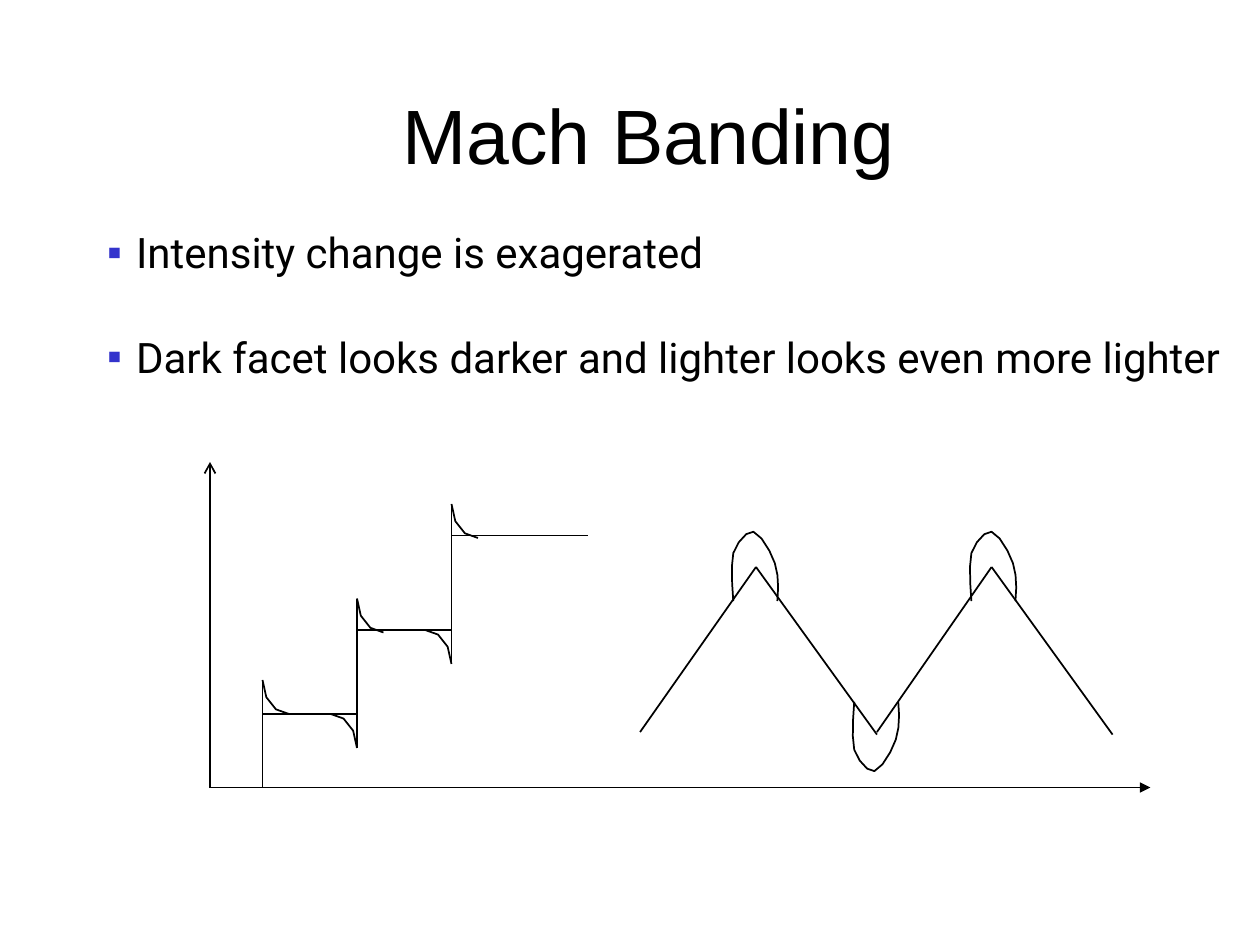
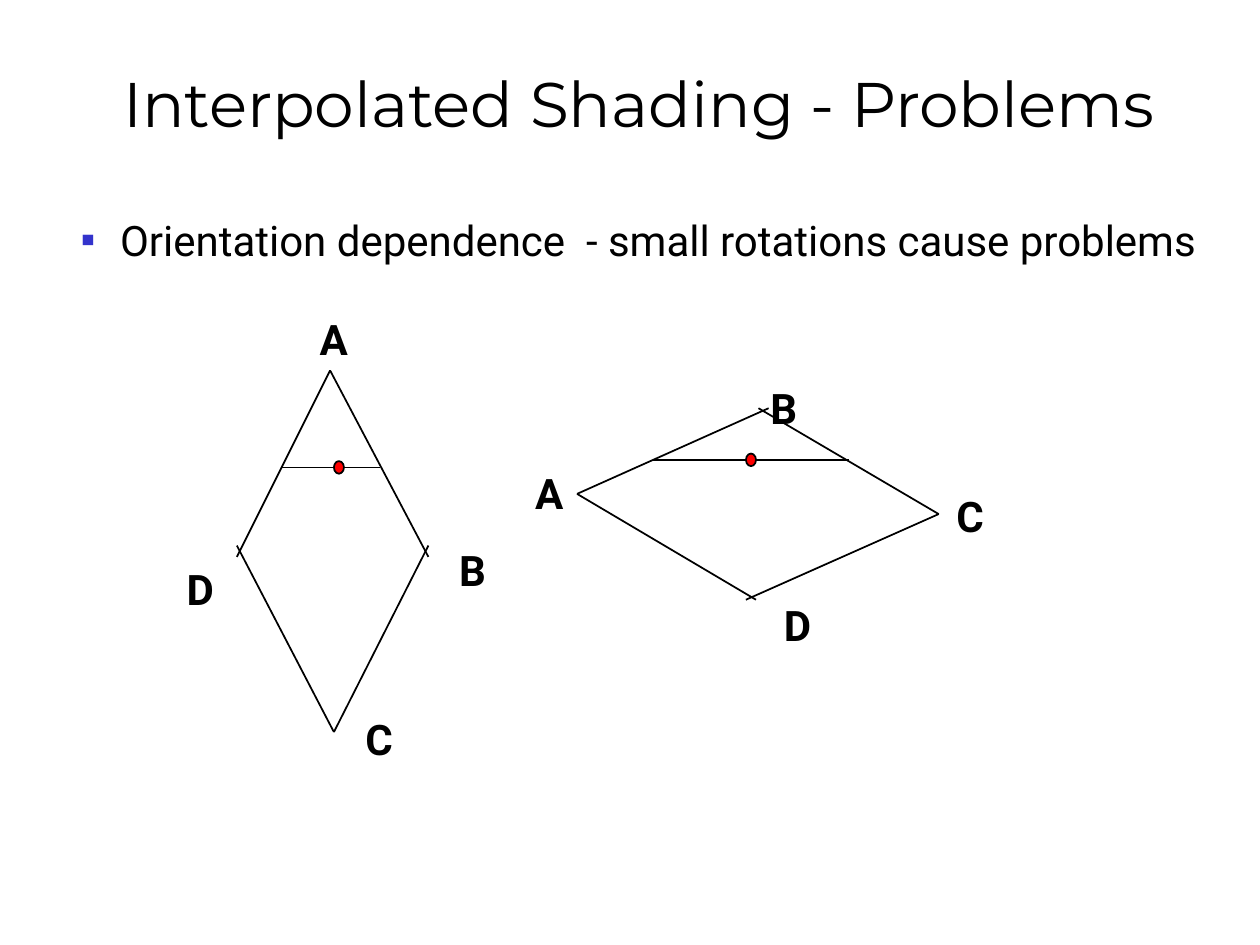
from itertools import pairwise

from lxml.etree import SubElement
from pptx import Presentation
from pptx.dml.color import RGBColor
from pptx.enum.shapes import MSO_CONNECTOR as Connector, MSO_SHAPE as Preset
from pptx.enum.text import MSO_ANCHOR as Anchor, MSO_AUTO_SIZE as AutoSize, PP_ALIGN as Align
from pptx.oxml.ns import qn
from pptx.util import Inches, Pt

COLORS = {"ink": "000000", "bullet": "3333CC", "dot": "FF0000"}
BODY_FONT = {"name": "Roboto", "size": Pt(24)}
LABEL_FONT = {**BODY_FONT, "bold": True}
FRAME = {"word_wrap": True, "auto_size": AutoSize.NONE, "vertical_anchor": Anchor.TOP}
SPACING = {"line_spacing": 1.2, "space_before": Pt(15), "space_after": Pt(10)}
CENTERED = {**SPACING, "alignment": Align.CENTER}
BULLET_FONT = "Arial"
BULLET_INDENT = 0.23
GRID = 12
LABEL_SIZE = (0.56, 0.58)
DOT_SIZE = (0.08, 0.1)
OVERSHOOT = ((0.21, 0), (0.1, 0), (0, -0.12), (0, -0.27))
LOOP = (
    (-0.18, 0), (-0.19, -0.14), (-0.2, -0.29), (-0.18, -0.38),
    (-0.15, -0.47), (-0.07, -0.56), (-0.02, -0.55),
    (0.04, -0.53), (0.12, -0.39), (0.15, -0.3),
    (0.18, -0.21), (0.18, -0.11), (0.17, 0),
)


def color(name):
    return RGBColor.from_string(COLORS[name])


def apply_format(target, values):
    for name, value in values.items():
        setattr(target, name, value)


def place(shape, left, top, width, height):
    apply_format(shape, {
        "left": Inches(left), "top": Inches(top),
        "width": Inches(width), "height": Inches(height),
    })


def style_line(shape):
    shape.line.color.rgb = color("ink")
    shape.line.width = Pt(1)


def write(shape, texts, font, paragraph_format):
    frame = shape.text_frame
    apply_format(frame, FRAME)
    frame.text = "\n".join(texts)
    for paragraph in frame.paragraphs:
        apply_format(paragraph, paragraph_format)
        for run in paragraph.runs:
            apply_format(run.font, font)
            run.font.color.rgb = color("ink")


def add_bullet(paragraph):
    properties = paragraph._p.get_or_add_pPr()
    properties.set("marL", str(Inches(BULLET_INDENT)))
    properties.set("indent", str(-Inches(BULLET_INDENT)))
    bullet_color = SubElement(properties, qn("a:buClr"))
    SubElement(bullet_color, qn("a:srgbClr"), val=COLORS["bullet"])
    SubElement(properties, qn("a:buFont"), typeface=BULLET_FONT)
    SubElement(properties, qn("a:buChar"), char="▪")


def add_text_slide(presentation, title, title_box, title_font, bullets, body_box):
    slide = presentation.slides.add_slide(presentation.slide_layouts[1])
    place(slide.shapes.title, *title_box)
    write(slide.shapes.title, [title], title_font, CENTERED)
    body = slide.placeholders[1]
    place(body, *body_box)
    write(body, bullets, BODY_FONT, SPACING)
    for paragraph in body.text_frame.paragraphs:
        add_bullet(paragraph)
    return slide


def add_line(slide, start, end, arrowhead=None):
    ends = [Inches(value) for value in (*start, *end)]
    line = slide.shapes.add_connector(Connector.STRAIGHT, *ends)
    style_line(line)
    if arrowhead:
        SubElement(line.line._get_or_add_ln(), qn("a:tailEnd"), type=arrowhead)
    SubElement(line._element.spPr, qn("a:effectLst"))


def bezier_points(controls, steps=3):
    points = [controls[0]]
    for first in range(0, len(controls) - 1, 3):
        segment = controls[first:first + 4]
        for step in range(1, steps + 1):
            t = step / steps
            weights = ((1 - t) ** 3, 3 * t * (1 - t) ** 2, 3 * t * t * (1 - t), t ** 3)
            points.append(tuple(
                sum(weight * point[axis] for weight, point in zip(weights, segment))
                for axis in (0, 1)
            ))
    return points


def add_curve(slide, offsets, x, y, flip_x=1, flip_y=1):
    controls = [(x + flip_x * dx, y + flip_y * dy) for dx, dy in offsets]
    start, *rest = [(Inches(px), Inches(py)) for px, py in bezier_points(controls)]
    builder = slide.shapes.build_freeform(*start)
    builder.add_line_segments(rest, close=False)
    curve = builder.convert_to_shape()
    curve.shadow.inherit = False
    curve.fill.background()
    style_line(curve)


def add_overshoot(slide, x, level, side):
    add_curve(slide, OVERSHOOT, x, level, side, side)
    for reach in (0.27, 0.17):
        add_line(slide, (x, level), (x, level - side * reach))


def add_dot(slide, left, top):
    box = [Inches(value) for value in (left, top, *DOT_SIZE)]
    dot = slide.shapes.add_shape(Preset.OVAL, *box)
    dot.shadow.inherit = False
    dot.fill.solid()
    dot.fill.fore_color.rgb = color("dot")
    style_line(dot)


def add_label(slide, letter, left, top):
    box = [Inches(value) for value in (left, top, *LABEL_SIZE)]
    write(slide.shapes.add_textbox(*box), [letter], LABEL_FONT, CENTERED)


def draw_axes(slide):
    origin = (20 / GRID, 6.25)
    add_line(slide, origin, (20 / GRID, 44 / GRID), "arrow")
    add_line(slide, origin, (9.13, 6.25), "triangle")


def draw_staircase(slide):
    edges = [column / GRID for column in (25, 34, 43, 56)]
    levels = [row / GRID for row in (75, 68, 60, 51)]
    for (left, right), (lower, upper) in zip(pairwise(edges), pairwise(levels)):
        add_line(slide, (left, lower), (left, upper))
        add_line(slide, (left, upper), (right, upper))
    for x, level, sag in zip(edges, levels[1:], (0, 0.02, 0.02)):
        add_overshoot(slide, x, level + sag, 1)
    for x, level in zip(edges[1:3], levels[1:3]):
        add_overshoot(slide, x, level, -1)


def draw_zigzag(slide):
    for start, peak, end in ((5.08, 6, 6.96), (6.96, 7.87, 8.83)):
        add_line(slide, (start, 5.81), (peak, 4.5))
        add_line(slide, (peak, 4.5), (end, 5.83))
    for x, base, flip in ((6, 4.77, 1), (6.96, 5.57, -1), (7.89, 4.77, 1)):
        add_curve(slide, LOOP, x, base, flip_y=flip)


def draw_quad(slide, spokes, scanline, dot, labels):
    for corner, ends in spokes.items():
        for end in ends:
            add_line(slide, corner, end)
    add_line(slide, *scanline)
    add_dot(slide, *dot)
    for letter, position in labels.items():
        add_label(slide, letter, *position)


def build_mach_banding(presentation):
    slide = add_text_slide(
        presentation, "Mach Banding", (0.92, 0.5, 8.46, 0.98),
        {"name": "Arial", "size": Pt(44)},
        ["Intensity change is exagerated",
         "Dark facet looks darker and lighter looks even more lighter"],
        (0.75, 1.67, 9.56, 2.72),
    )
    draw_axes(slide)
    draw_staircase(slide)
    draw_zigzag(slide)


def build_shading_problems(presentation):
    slide = add_text_slide(
        presentation, "Interpolated Shading - Problems", (0.33, 0.34, 9.48, 0.82),
        {"name": "Montserrat", "size": Pt(36)},
        [" Orientation dependence  - small rotations cause problems"],
        (0.54, 1.57, 9.31, 1.06),
    )
    draw_quad(
        slide,
        {(2.62, 2.94): ((1.88, 4.42), (3.4, 4.42)),
         (2.65, 5.81): ((3.4, 4.33), (1.88, 4.33))},
        ((2.23, 3.71), (3.02, 3.71)), (2.65, 3.66),
        {"D": (1.31, 4.34), "A": (2.37, 2.36), "B": (3.47, 4.19), "C": (2.73, 5.53)},
    )
    draw_quad(
        slide,
        {(4.58, 3.92): ((6, 4.76), (6.1, 3.24)),
         (7.45, 4.08): ((6.02, 3.24), (5.92, 4.76))},
        ((5.18, 3.65), (6.74, 3.65)), (5.92, 3.6),
        {"A": (4.08, 3.58), "B": (5.94, 2.91), "C": (7.42, 3.76), "D": (6.05, 4.63)},
    )


def main():
    presentation = Presentation()
    presentation.slide_width = Inches(10)
    presentation.slide_height = Inches(7.5)
    build_mach_banding(presentation)
    build_shading_problems(presentation)
    presentation.save("out.pptx")


if __name__ == "__main__":
    main()
